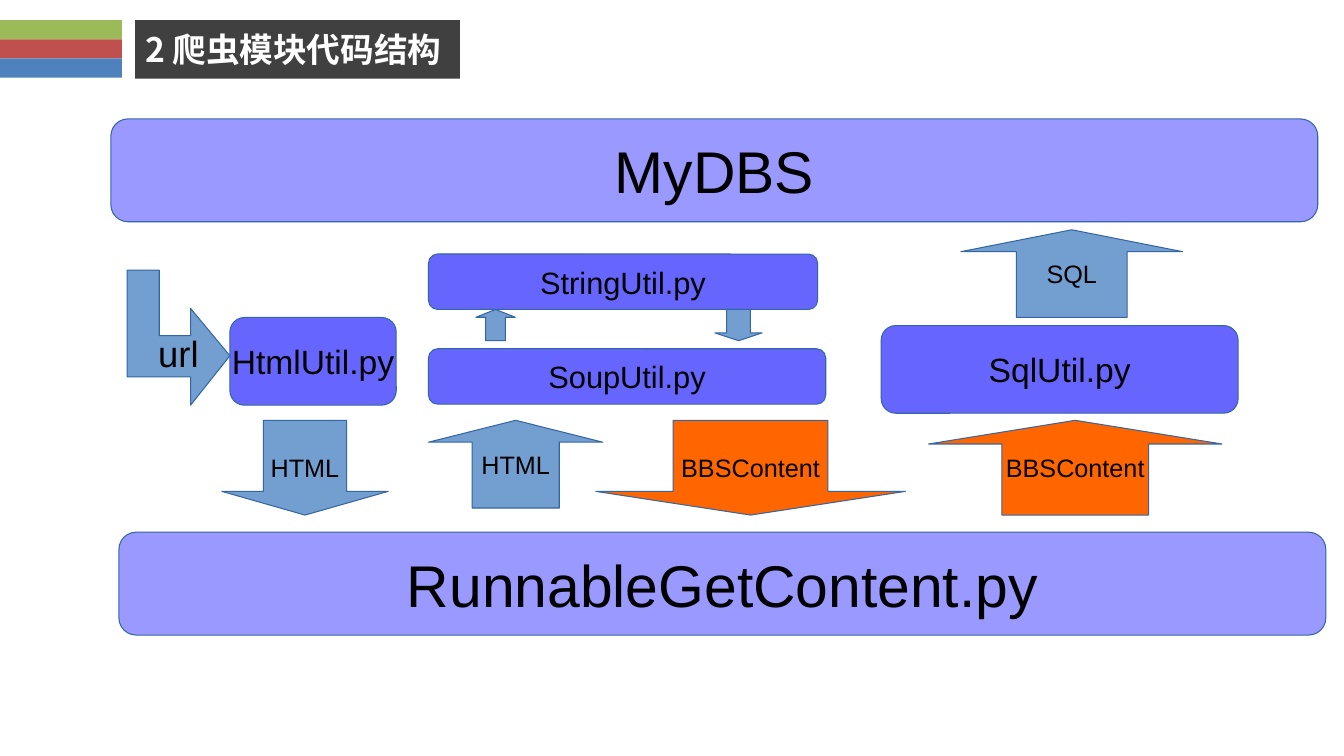
from dataclasses import dataclass

from lxml.etree import SubElement
from pptx import Presentation
from pptx.dml.color import RGBColor
from pptx.enum.shapes import MSO_SHAPE as Kind
from pptx.enum.text import MSO_ANCHOR as Anchor, PP_ALIGN as Align
from pptx.oxml.ns import qn
from pptx.util import Inches, Pt

PALE, DEEP, BLUE, ORANGE = "9999FF", "6666FF", "729FCF", "FF6600"
EDGE, BLACK, WHITE, DARK = "3465A4", "000000", "FFFFFF", "404040"
SANS, HAN = "Arial", "Noto Sans CJK SC"
UP, DOWN = Kind.UP_ARROW, Kind.DOWN_ARROW
HEAD = 0.25  # arrowhead length as a share of the arrow's height


@dataclass
class Box:
    text: str
    left: float
    top: float
    width: float
    height: float
    fill: str
    size: int


@dataclass
class Arrow(Box):
    kind: Kind


BOXES = [
    Box("HtmlUtil.py", 2.28, 3.15, 1.65, 0.87, DEEP, 24),
    Box("RunnableGetContent.py", 1.18, 5.28, 11.97, 1.02, PALE, 42),
    Box("MyDBS", 1.1, 1.18, 11.97, 1.02, PALE, 42),
    Box("SoupUtil.py", 4.25, 3.46, 3.94, 0.55, DEEP, 22),
    Box("StringUtil.py", 4.25, 2.52, 3.86, 0.55, DEEP, 22),
    Box("SqlUtil.py", 8.74, 3.23, 3.54, 0.87, DEEP, 24),
]
ARROWS = [
    Arrow("HTML", 2.2, 4.17, 1.65, 0.94, BLUE, 18, DOWN),
    Arrow("HTML", 4.25, 4.17, 1.73, 0.87, BLUE, 18, UP),
    Arrow("", 4.72, 3.07, 0.39, 0.31, BLUE, 18, UP),
    Arrow("", 7.09, 3.07, 0.47, 0.31, BLUE, 18, DOWN),
    Arrow("BBSContent", 5.91, 4.17, 3.07, 0.94, ORANGE, 18, DOWN),
    Arrow("BBSContent", 9.21, 4.17, 2.91, 0.94, ORANGE, 18, UP),
    Arrow("SQL", 9.53, 2.28, 2.2, 0.87, BLUE, 18, UP),
]
BEND = [(1.26, 2.68), (1.58, 2.68), (1.58, 3.33), (1.89, 3.33), (1.89, 3.06),
        (2.28, 3.53), (1.89, 4.02), (1.89, 3.74), (1.26, 3.74)]
STRIPES = ["9BBB59", "C0504D", "4F81BD"]


def rgb(code: str) -> RGBColor:
    return RGBColor.from_string(code)


def paint(shape, fill: str, edge: str = "") -> None:
    shape.shadow.inherit = False
    shape.fill.solid()
    shape.fill.fore_color.rgb = rgb(fill)
    if edge:
        shape.line.color.rgb = rgb(edge)
        shape.line.width = Pt(0.75)
    else:
        shape.line.fill.background()


def write(shape, text: str, size: int, color: str = BLACK, face: str = SANS,
          align: Align = Align.CENTER):
    frame = shape.text_frame
    frame.word_wrap = False
    frame.vertical_anchor = Anchor.MIDDLE
    para = frame.paragraphs[0]
    para.text = text
    para.alignment = align
    font = para.font
    font.size, font.name = Pt(size), face
    font.color.rgb = rgb(color)
    return frame


def add(slide, kind: Kind, left: float, top: float, width: float, height: float):
    return slide.shapes.add_shape(kind, Inches(left), Inches(top),
                                  Inches(width), Inches(height))


def draw_box(slide, box: Box) -> None:
    shape = add(slide, Kind.ROUNDED_RECTANGLE, box.left, box.top, box.width, box.height)
    paint(shape, box.fill, EDGE)
    write(shape, box.text, box.size)


def draw_arrow(slide, arrow: Arrow) -> None:
    shape = add(slide, arrow.kind, arrow.left, arrow.top, arrow.width, arrow.height)
    shape.adjustments[0] = 0.5
    shape.adjustments[1] = HEAD * arrow.height / min(arrow.width, arrow.height)
    paint(shape, arrow.fill, EDGE)
    if not arrow.text:
        return
    frame = write(shape, arrow.text, arrow.size)
    # The text area stops halfway into the head; pad the tail to centre the label
    pad = Inches(0.05 + HEAD * arrow.height / 2)
    if arrow.kind == DOWN:
        frame.margin_top = pad
    else:
        frame.margin_bottom = pad


def draw_bend(slide) -> None:
    first, *rest = [(Inches(x), Inches(y)) for x, y in BEND]
    pen = slide.shapes.build_freeform(*first)
    pen.add_line_segments(rest, close=True)
    shape = pen.convert_to_shape()
    paint(shape, BLUE, EDGE)
    write(shape, "url", 26).margin_top = Inches(0.35)


def draw_title(slide) -> None:
    for row, color in enumerate(STRIPES):
        paint(add(slide, Kind.RECTANGLE, 0, 0.2 + 0.19 * row, 1.21, 0.19), color)
    bar = add(slide, Kind.RECTANGLE, 1.34, 0.2, 3.22, 0.58)
    paint(bar, DARK)
    frame = write(bar, "2 爬虫模块代码结构", 24, WHITE, HAN, Align.LEFT)
    font = frame.paragraphs[0].font
    font.bold = True
    # East Asian typeface
    props = frame.paragraphs[0].runs[0].font
    props.name = HAN
    SubElement(props._element, qn("a:ea")).set("typeface", HAN)


def main() -> None:
    deck = Presentation()
    deck.slide_width, deck.slide_height = Inches(13.33), Inches(7.5)
    slide = deck.slides.add_slide(deck.slide_layouts[6])
    draw_title(slide)
    for box in BOXES:
        draw_box(slide, box)
    draw_bend(slide)
    for arrow in ARROWS:
        draw_arrow(slide, arrow)
    deck.save("out.pptx")


if __name__ == "__main__":
    main()
